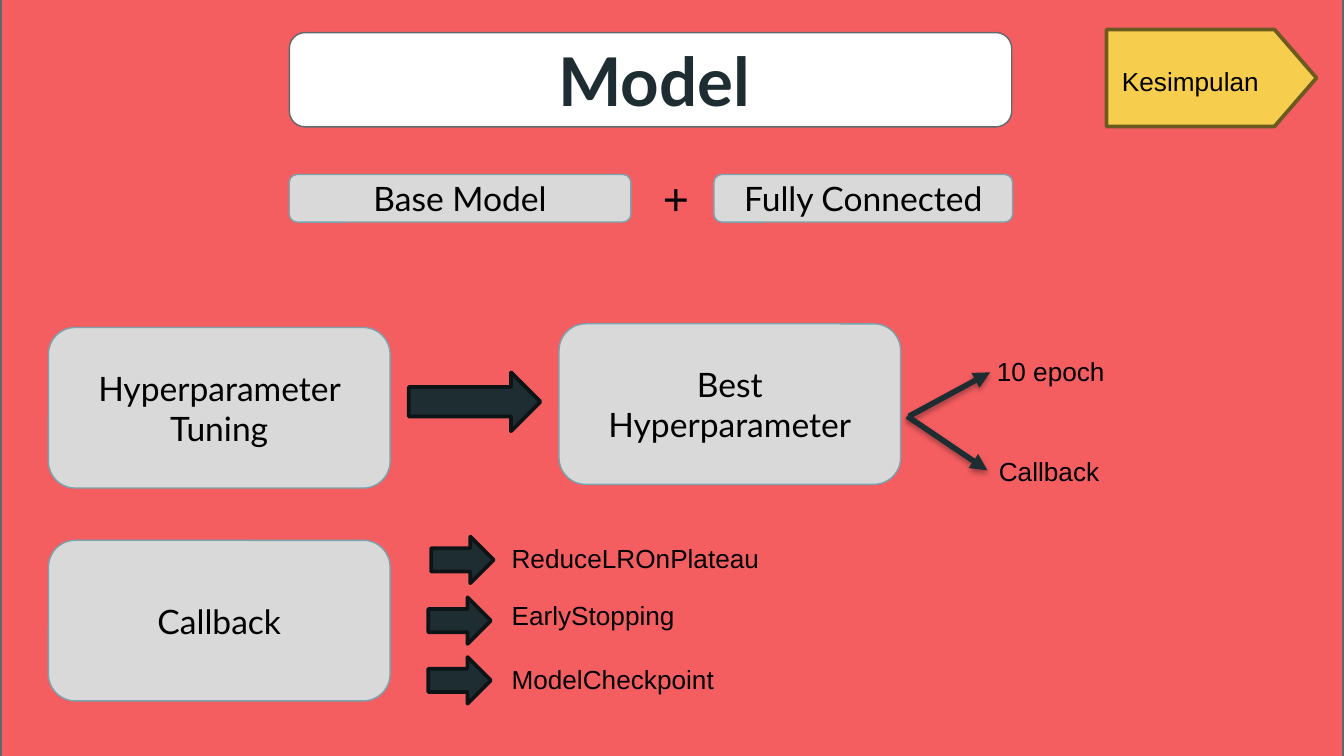
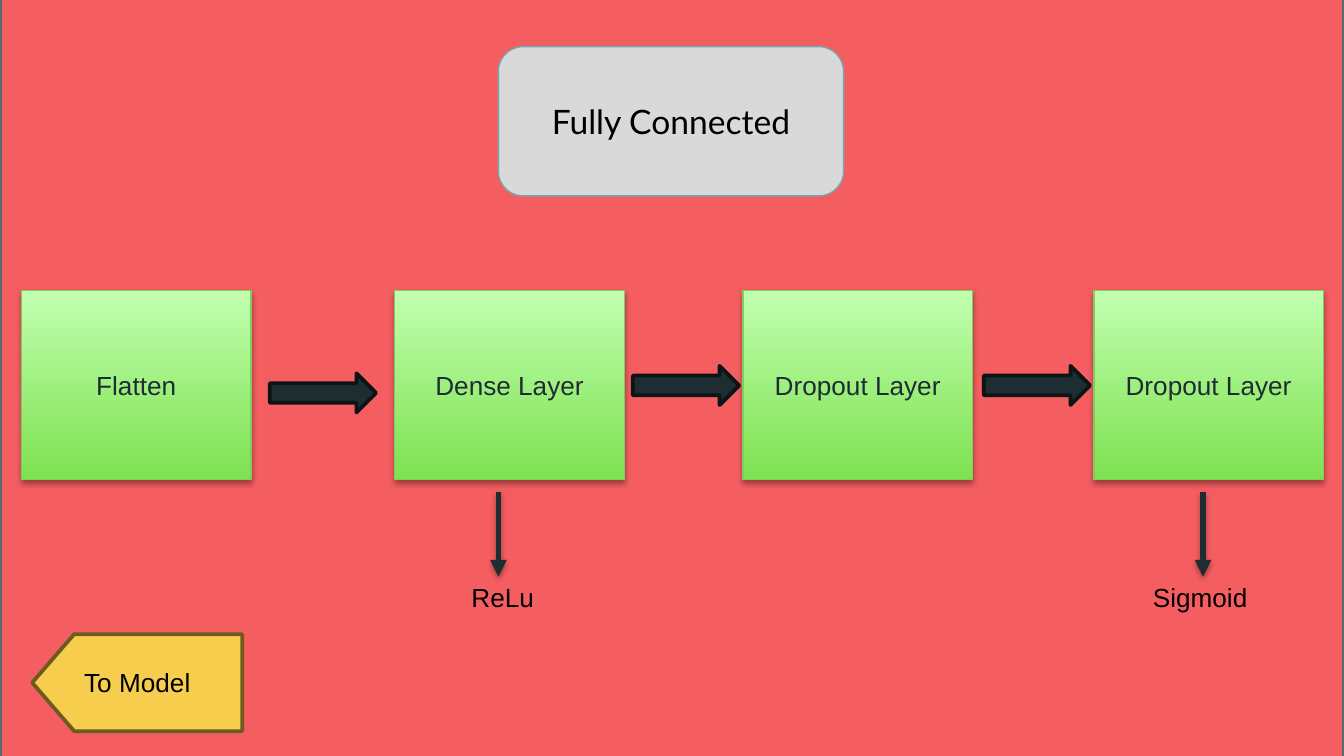
from lxml.etree import SubElement
from pptx import Presentation
from pptx.dml.color import RGBColor
from pptx.enum.shapes import MSO_CONNECTOR, MSO_SHAPE
from pptx.enum.text import MSO_ANCHOR, MSO_AUTO_SIZE, PP_ALIGN
from pptx.oxml.ns import qn
from pptx.util import Pt

RED = RGBColor(0xF5, 0x5E, 0x61)
SLATE = RGBColor(0x5E, 0x69, 0x6C)
WHITE = RGBColor(0xFF, 0xFF, 0xFF)
BLACK = RGBColor(0x00, 0x00, 0x00)
DARK = RGBColor(0x1E, 0x2D, 0x31)
NIGHT = RGBColor(0x0D, 0x14, 0x15)
GREY = RGBColor(0xD9, 0xD9, 0xD9)
TEAL = RGBColor(0x76, 0xA5, 0xAF)
GOLD = RGBColor(0xF6, 0xCD, 0x4C)
BROWN = RGBColor(0x6C, 0x5A, 0x21)
GREEN = RGBColor(0x7D, 0xE1, 0x50)
LIME = RGBColor(0xC1, 0xFF, 0xAF)
LEAF = RGBColor(0x7F, 0xCE, 0x5C)


def draw(slide, kind, place, fill, edge, width=0.75):
    shape = slide.shapes.add_shape(kind, *[Pt(n) for n in place])
    shape.shadow.inherit = False
    shape.fill.solid()
    shape.fill.fore_color.rgb = fill
    shape.line.color.rgb = edge
    shape.line.width = Pt(width)
    return shape


def write(shape, words, size=14, face="Arial", ink=BLACK, align=PP_ALIGN.CENTER, anchor=MSO_ANCHOR.MIDDLE):
    frame = shape.text_frame
    frame.word_wrap = True
    frame.auto_size = MSO_AUTO_SIZE.NONE
    frame.vertical_anchor = anchor
    para = frame.paragraphs[0]
    para.alignment = align
    run = para.add_run()
    run.text = words
    run.font.size = Pt(size)
    run.font.name = face
    run.font.color.rgb = ink
    return run


deck = Presentation()
deck.slide_width, deck.slide_height = Pt(720), Pt(405)
model, dense = [deck.slides.add_slide(deck.slide_layouts[5]) for _ in range(2)]
for slide in (model, dense):
    slide.background.fill.solid()
    slide.background.fill.fore_color.rgb = RED
    draw(slide, MSO_SHAPE.RECTANGLE, (0.5, -3, 719, 411), RED, SLATE)

draw(model, MSO_SHAPE.ROUNDED_RECTANGLE, (155, 17.5, 387, 50.5), WHITE, SLATE)
draw(dense, MSO_SHAPE.ROUNDED_RECTANGLE, (267, 25, 185, 80), GREY, TEAL)

titles = [
    (model, "Model", (179, 14, 343, 58), 36, DARK, True, MSO_ANCHOR.TOP),
    (dense, "Fully Connected", (267, 25, 185, 80), 18, BLACK, False, MSO_ANCHOR.MIDDLE),
]
for slide, words, place, size, ink, bold, anchor in titles:
    title = slide.shapes.title
    title.left, title.top, title.width, title.height = [Pt(n) for n in place]
    frame = title.text_frame
    frame.margin_left = frame.margin_right = frame.margin_top = frame.margin_bottom = Pt(7.2)
    write(title, words, size, "Lato", ink, anchor=anchor).font.bold = bold
    title.element.getparent().append(title.element)

cards = [
    ("Base Model", 155, 93.5, 183, 25.5),
    ("Fully Connected", 382.5, 93.5, 160, 25.5),
    ("Hyperparameter Tuning", 26, 175.5, 183, 86),
    ("Callback", 26, 289.5, 183, 86),
    ("Best Hyperparameter", 299.5, 173.5, 183, 86),
]
for words, *place in cards:
    card = draw(model, MSO_SHAPE.ROUNDED_RECTANGLE, place, GREY, TEAL)
    frame = card.text_frame
    frame.margin_left = frame.margin_right = frame.margin_top = frame.margin_bottom = Pt(7.2)
    write(card, words, 18, "Lato")

blocks = [("Flatten", 11.5), ("Dense Layer", 211.5), ("Dropout Layer", 398), ("Dropout Layer", 586)]
shaded = []
for words, left in blocks:
    block = draw(dense, MSO_SHAPE.RECTANGLE, (left, 155.5, 123, 101.5), GREEN, LEAF)
    block.fill.gradient()
    block.fill.gradient_angle = 90
    for stop, tone, spot in zip(block.fill.gradient_stops, (GREEN, LIME), (0, 1)):
        stop.color.rgb = tone
        stop.position = spot
    write(block, words, ink=DARK)
    shaded.append(block.element.spPr.find(qn("a:effectLst")))

arrows = [
    (model, 219, 199.5, 70.5, 31.5),
    (model, 231, 287.5, 33.5, 25),
    (model, 229.5, 320, 33.5, 25),
    (model, 229.5, 352, 33.5, 25),
    (dense, 144.5, 200, 57, 21),
    (dense, 339, 196, 57, 21),
    (dense, 527, 196, 57, 21),
]
for slide, *place in arrows:
    draw(slide, MSO_SHAPE.RIGHT_ARROW, place, DARK, NIGHT, 2)

lines = [
    (model, 487, 223, 530.5, 199.5),
    (model, 486, 223, 529, 252),
    (dense, 267, 263.5, 267, 309),
    (dense, 644.5, 263.5, 644.5, 309),
]
for slide, *ends in lines:
    link = slide.shapes.add_connector(MSO_CONNECTOR.STRAIGHT, *[Pt(n) for n in ends])
    link.line.color.rgb = DARK
    link.line.width = Pt(3)
    props = link.element.spPr
    SubElement(props.find(qn("a:ln")), qn("a:tailEnd"), type="triangle")
    shaded.append(SubElement(props, qn("a:effectLst")))

for effects in shaded:
    shade = SubElement(
        effects, qn("a:outerShdw"), blurRad=str(Pt(3.1)), dist=str(Pt(1.8)), dir="5400000", rotWithShape="0"
    )
    tone = SubElement(shade, qn("a:srgbClr"), val=str(BLACK))
    SubElement(tone, qn("a:alpha"), val="35000")

for slide, left, top, turn in ((model, 623, -14.5, 270), (dense, 47.5, 309.5, 90)):
    flag = draw(slide, MSO_SHAPE.FLOWCHART_OFFPAGE_CONNECTOR, (left, top, 52, 112.5), GOLD, BROWN, 2)
    flag.rotation = turn

labels = [
    (model, "+", 24, 348, 88, 37, 36),
    (model, "ReduceLROnPlateau", 14, 267, 287, 148, 24.5),
    (model, "EarlyStopping", 14, 267, 317.5, 109, 24.5),
    (model, "ModelCheckpoint", 14, 267, 352, 127, 24.5),
    (model, "10 epoch", 14, 527, 187, 130, 24.5),
    (model, "Callback", 14, 528, 240.5, 73, 24.5),
    (model, "Kesimpulan", 14, 594, 31.5, 91.5, 24.5),
    (dense, "ReLu", 14, 245.5, 308, 52, 24.5),
    (dense, "Sigmoid", 14, 610.5, 308, 74, 24.5),
    (dense, "To Model", 14, 38, 353.5, 91.5, 24.5),
]
for slide, words, size, *place in labels:
    label = slide.shapes.add_textbox(*[Pt(n) for n in place])
    write(label, words, size, align=PP_ALIGN.LEFT, anchor=MSO_ANCHOR.TOP)

deck.save("out.pptx")
